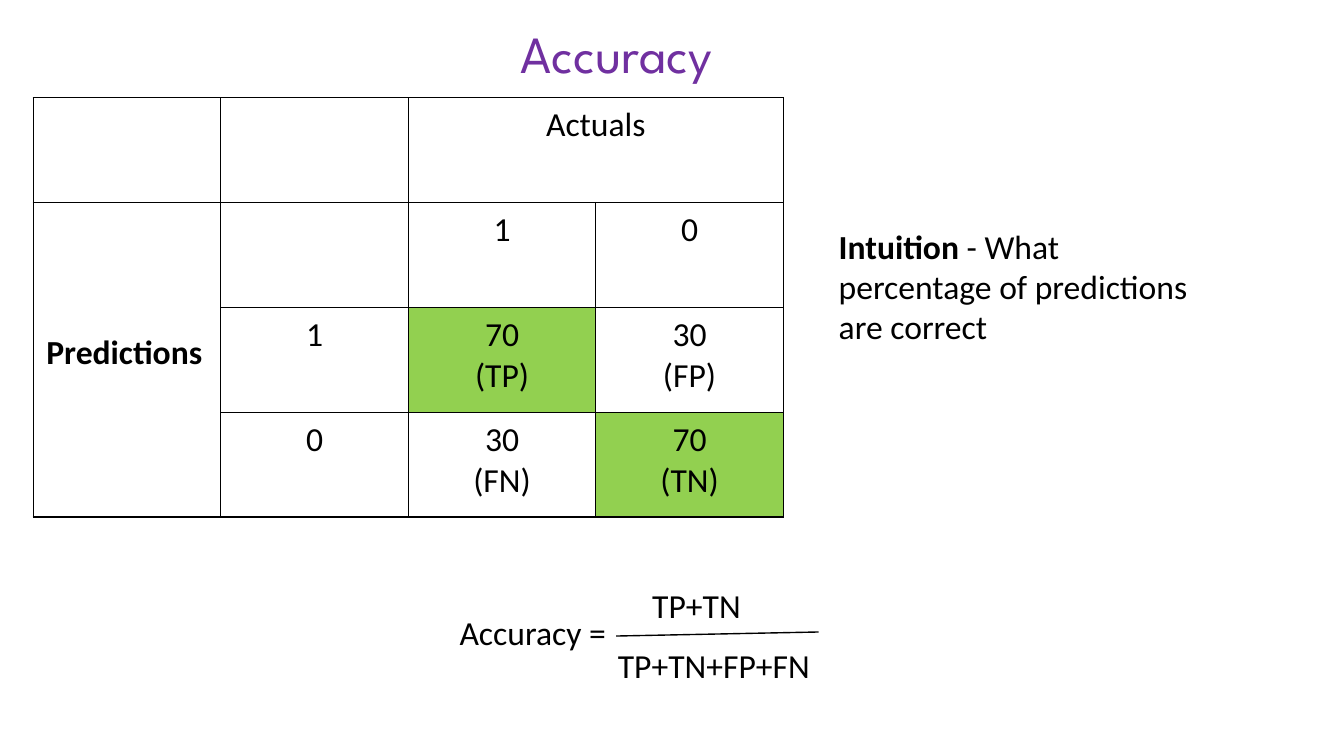
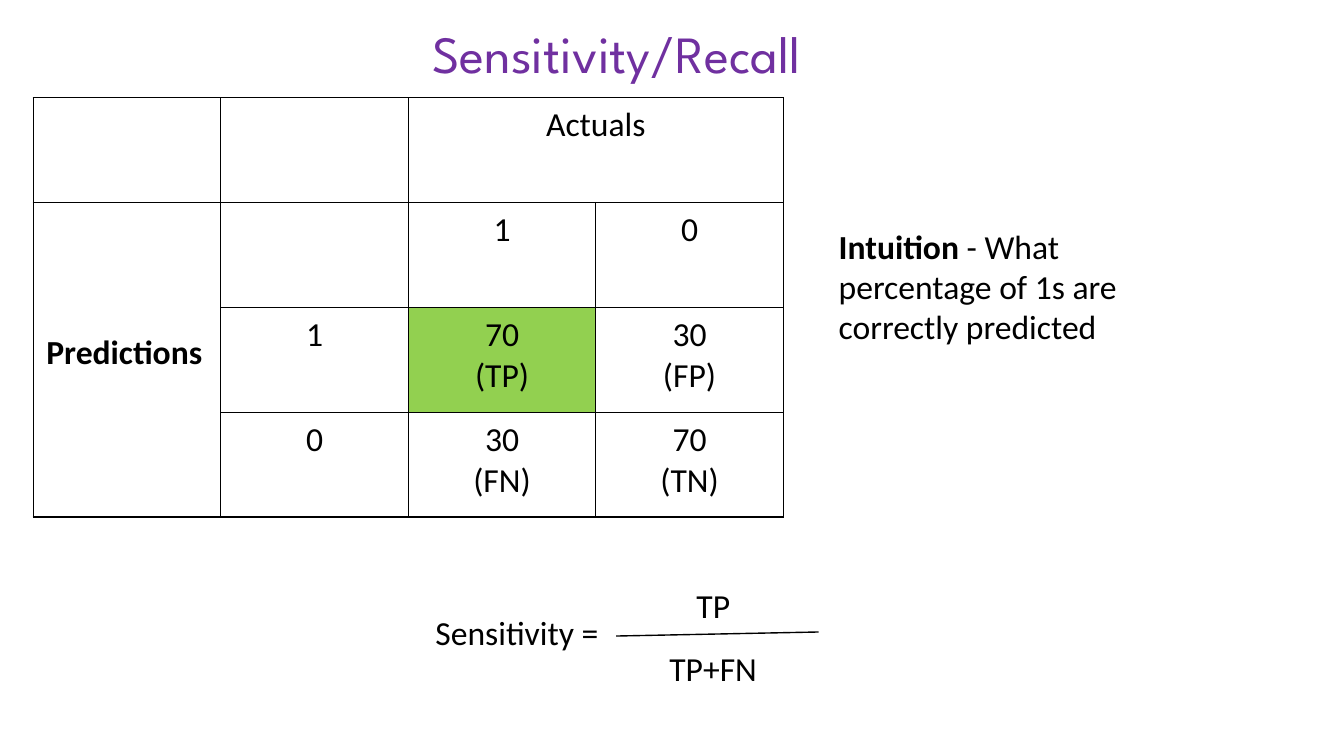
from dataclasses import dataclass

from lxml.etree import SubElement
from pptx import Presentation
from pptx.dml.color import RGBColor
from pptx.enum.shapes import MSO_CONNECTOR
from pptx.enum.text import MSO_ANCHOR, MSO_AUTO_SIZE, PP_ALIGN
from pptx.oxml.ns import qn
from pptx.slide import Slide
from pptx.table import _Cell
from pptx.text.text import TextFrame
from pptx.util import Inches, Pt

HUES = {"ink": "000000", "title": "7030A0", "hit": "92D050", "paper": "FFFFFF"}
BODY, HEAD = "Calibri", "League Spartan"
PAD = (0.13, 0.07, 0.13, 0.07)
BOX_PAD = (0.1, 0.05, 0.1, 0.05)
GRID = [
    ["", "", "Actuals", ""],
    ["Predictions", "", "1", "0"],
    ["", "1", "70\n(TP)", "30\n(FP)"],
    ["", "0", "30\n(FN)", "70\n(TN)"],
]
COL, ROW = 1.86, 1.04


@dataclass
class Label:
    text: str
    left: float
    top: float
    width: float
    wrap: bool = False


@dataclass
class Metric:
    title: str
    hint: str
    hits: set[tuple[int, int]]
    labels: list[Label]


METRICS = [
    Metric(
        "Accuracy",
        " - What percentage of predictions are correct",
        {(2, 2), (3, 3)},
        [
            Label("Accuracy =", 4.46, 6.02, 3.67, True),
            Label("TP+TN+FP+FN", 6.03, 6.35, 2.13),
            Label("TP+TN", 6.37, 5.75, 1.09),
        ],
    ),
    Metric(
        "Sensitivity/Recall",
        " - What percentage of 1s are correctly predicted",
        {(2, 2)},
        [
            Label("Sensitivity =", 4.22, 6.02, 3.9, True),
            Label("TP+FN", 6.54, 6.38, 1.08),
            Label("TP", 6.81, 5.75, 0.54),
        ],
    ),
]


def color(name: str) -> RGBColor:
    return RGBColor.from_string(HUES[name])


def write(frame: TextFrame, text: str, *, lead: str = "", size: float = 24,
          face: str = BODY, hue: str = "ink", bold: bool = False,
          align: PP_ALIGN = PP_ALIGN.LEFT) -> None:
    """Write one paragraph per line, with an optional bold lead."""
    for i, line in enumerate(text.split("\n")):
        para = frame.paragraphs[0] if i == 0 else frame.add_paragraph()
        para.alignment = align
        parts = [(line, bold)]
        if lead and i == 0:
            parts.insert(0, (lead, True))
        for part, heavy in parts:
            run = para.add_run()
            run.text = part
            run.font.size = Pt(size)
            run.font.name = face
            run.font.bold = heavy
            run.font.color.rgb = color(hue)


def add_box(slide: Slide, left: float, top: float, width: float, height: float,
            wrap: bool = True, pad: tuple[float, ...] = BOX_PAD) -> TextFrame:
    box = slide.shapes.add_textbox(
        Inches(left), Inches(top), Inches(width), Inches(height))
    frame = box.text_frame
    frame.word_wrap = wrap
    set_pad(frame, pad)
    return frame


def set_pad(item: TextFrame | _Cell, pad: tuple[float, ...]) -> None:
    (item.margin_left, item.margin_top,
     item.margin_right, item.margin_bottom) = map(Inches, pad)


def add_edges(cell: _Cell) -> None:
    props = cell._tc.get_or_add_tcPr()
    for side in ("a:lnL", "a:lnR", "a:lnT", "a:lnB"):
        edge = SubElement(props, qn(side), w=str(Pt(1)))
        fill = SubElement(edge, qn("a:solidFill"))
        SubElement(fill, qn("a:srgbClr"), val=HUES["ink"])


def add_grid(slide: Slide, hits: set[tuple[int, int]]) -> None:
    rows, cols = len(GRID), len(GRID[0])
    table = slide.shapes.add_table(
        rows, cols, Inches(0.33), Inches(0.97),
        Inches(cols * COL), Inches(rows * ROW)).table
    table.first_row = table.horz_banding = False
    for col in table.columns:
        col.width = Inches(COL)
    for row in table.rows:
        row.height = Inches(ROW)
    for r, line in enumerate(GRID):
        for c, text in enumerate(line):
            cell = table.cell(r, c)
            add_edges(cell)
            set_pad(cell, PAD)
            cell.fill.solid()
            cell.fill.fore_color.rgb = color("hit" if (r, c) in hits else "paper")
            if text:
                side = c == 0
                write(cell.text_frame, text, bold=side,
                      align=PP_ALIGN.JUSTIFY if side else PP_ALIGN.CENTER)
    # Spanning heads
    table.cell(0, 2).merge(table.cell(0, 3))
    side = table.cell(1, 0)
    side.merge(table.cell(3, 0))
    side.vertical_anchor = MSO_ANCHOR.MIDDLE
    side.margin_bottom = Inches(0.2)


def add_bar(slide: Slide) -> None:
    bar = slide.shapes.add_connector(
        MSO_CONNECTOR.STRAIGHT,
        Inches(6.11), Inches(6.31), Inches(8.12), Inches(6.27))
    bar.line.color.rgb = color("ink")
    bar.line.width = Pt(1)
    SubElement(bar._element.spPr, qn("a:effectLst"))


def draw(slide: Slide, metric: Metric) -> None:
    add_grid(slide, metric.hits)
    # Title
    title = add_box(slide, 3.56, 0.19, 5.11, 0.67, pad=PAD)
    title.vertical_anchor = MSO_ANCHOR.MIDDLE
    write(title, metric.title, size=37.3, face=HEAD, hue="title",
          align=PP_ALIGN.CENTER)
    # Intuition
    hint = add_box(slide, 8.22, 2.19, 3.78, 1.31)
    hint.auto_size = MSO_AUTO_SIZE.SHAPE_TO_FIT_TEXT
    write(hint, metric.hint, lead="Intuition")
    # Formula
    for label in metric.labels:
        frame = add_box(slide, label.left, label.top, label.width, 0.5, label.wrap)
        frame.auto_size = MSO_AUTO_SIZE.SHAPE_TO_FIT_TEXT
        write(frame, label.text)
    add_bar(slide)


def main() -> None:
    deck = Presentation()
    deck.slide_width, deck.slide_height = Inches(13.33), Inches(7.5)
    for metric in METRICS:
        draw(deck.slides.add_slide(deck.slide_layouts[6]), metric)
    deck.save("out.pptx")


if __name__ == "__main__":
    main()
